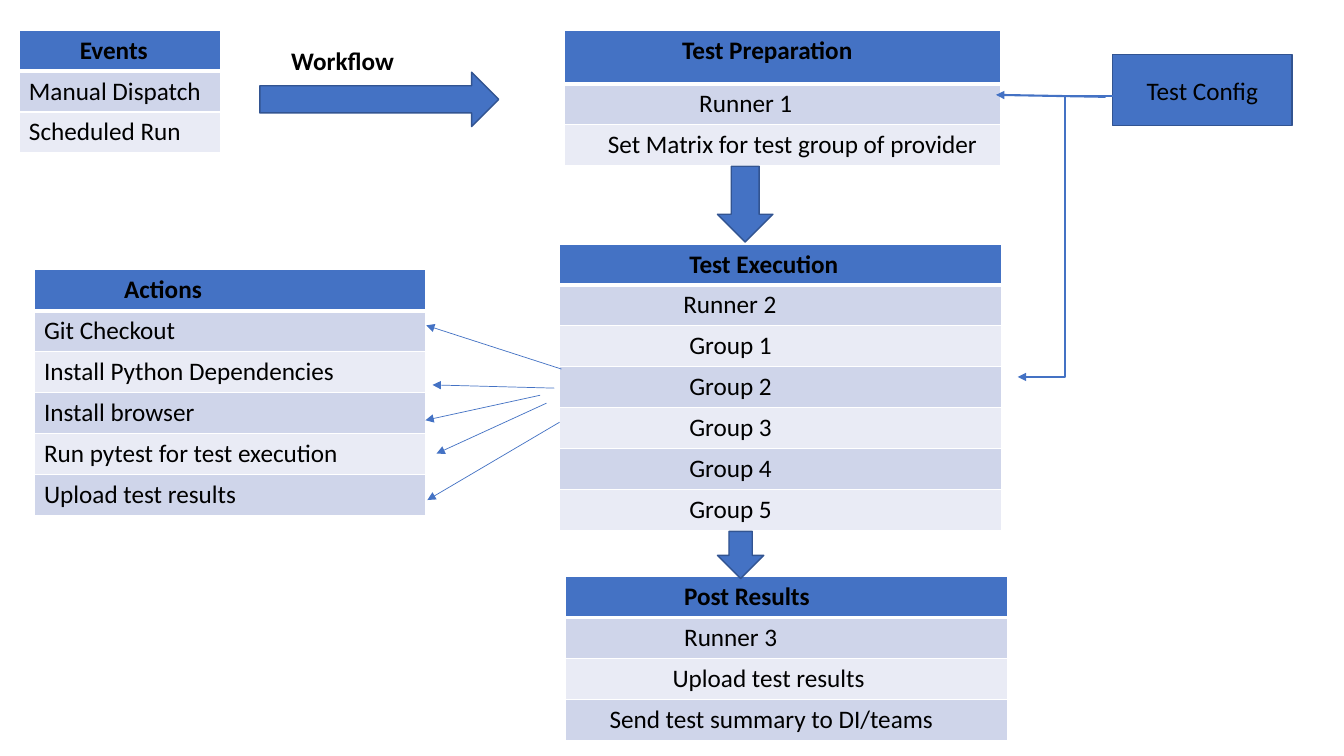
"""Build a slide showing a test workflow from its events to its posted results."""
from lxml.etree import SubElement
from pptx import Presentation
from pptx.dml.color import RGBColor
from pptx.enum.shapes import MSO_CONNECTOR as LINK, MSO_SHAPE as SHAPE
from pptx.enum.text import MSO_ANCHOR, PP_ALIGN
from pptx.oxml.ns import qn
from pptx.util import Cm, Pt

BLUE = RGBColor(0x44, 0x72, 0xC4)
OUTLINE = RGBColor(0x32, 0x54, 0x91)
BAND_DARK = RGBColor(0xCF, 0xD5, 0xEA)
BAND_LIGHT = RGBColor(0xE9, 0xEB, 0xF5)
BLACK = RGBColor(0, 0, 0)
WHITE = RGBColor(0xFF, 0xFF, 0xFF)
ROW_HEIGHT = 1.03
INSET = 0.25

EVENTS = [("Events", 1.53), ("Manual Dispatch", INSET), ("Scheduled Run", INSET)]
PREPARATION = [
    ("Test Preparation", 2.97),
    ("Runner 1", 3.4),
    ("Set Matrix for test group of provider", 1.1),
]
EXECUTION = [("Test Execution", 3.27), ("Runner 2", 3.12)]
EXECUTION += [(f"Group {number}", 3.27) for number in range(1, 6)]
RESULTS = [
    ("Post Results", 2.99),
    ("Runner 3", 2.99),
    ("Upload test results", 2.7),
    ("Send test summary to DI/teams", 1.11),
]
ACTIONS = [("Actions", 2.27)] + [(step, INSET) for step in (
    "Git Checkout",
    "Install Python Dependencies",
    "Install browser",
    "Run pytest for test execution",
    "Upload test results",
)]
ACTION_LINKS = [
    ((14.15, 9.3), (10.74, 8.2)),
    ((14.1, 10.64), (10.77, 12.6)),
    ((13.97, 9.78), (10.9, 9.7)),
    ((13.77, 10.16), (11, 11.43)),
    ((13.61, 9.96), (10.72, 10.59)),
]


def write(frame, text, bold=False):
    frame.text = text
    font = frame.paragraphs[0].runs[0].font
    font.name, font.size, font.bold = "Calibri", Pt(18), bold
    font.color.rgb = BLACK


def add_border(cell, side, weight):
    border = SubElement(cell._tc.get_or_add_tcPr(), qn(f"a:{side}"), w=str(Pt(weight)))
    fill = SubElement(border, qn("a:solidFill"))
    SubElement(fill, qn("a:srgbClr"), val=str(WHITE))


def add_stage(slide, left, top, width, rows, header_height=ROW_HEIGHT):
    height = header_height + ROW_HEIGHT * (len(rows) - 1)
    frame = slide.shapes.add_table(len(rows), 1, Cm(left), Cm(top), Cm(width), Cm(height))
    table = frame.table
    for index, (text, indent) in enumerate(rows):
        is_header = index == 0
        table.rows[index].height = Cm(header_height if is_header else ROW_HEIGHT)
        cell = table.cell(index, 0)
        cell.margin_left = Cm(indent)
        for side in ("lnL", "lnR"):
            add_border(cell, side, 1)
        add_border(cell, "lnT", 3 if index == 1 else 1)
        add_border(cell, "lnB", 3 if is_header else 1)
        cell.fill.solid()
        band = BAND_DARK if index % 2 else BAND_LIGHT
        cell.fill.fore_color.rgb = BLUE if is_header else band
        write(cell.text_frame, text, bold=is_header)


def add_block(slide, kind, left, top, width, height):
    block = slide.shapes.add_shape(kind, Cm(left), Cm(top), Cm(width), Cm(height))
    block.shadow.inherit = False
    block.fill.solid()
    block.fill.fore_color.rgb = BLUE
    block.line.color.rgb = OUTLINE
    block.line.width = Pt(1)
    return block


def add_arrow(slide, start, end, weight, kind=LINK.STRAIGHT):
    points = [Cm(value) for value in (*start, *end)]
    arrow = slide.shapes.add_connector(kind, *points)
    arrow.line.color.rgb = BLUE
    arrow.line.width = Pt(weight)
    SubElement(arrow.line._get_or_add_ln(), qn("a:tailEnd"), type="triangle")
    SubElement(arrow._element.spPr, qn("a:effectLst"))


def add_label(slide, text, left, top, width, height):
    box = slide.shapes.add_textbox(Cm(left), Cm(top), Cm(width), Cm(height))
    box.text_frame.word_wrap = True
    write(box.text_frame, text, bold=True)


def add_config(slide):
    box = add_block(slide, SHAPE.RECTANGLE, 28.04, 1.37, 4.52, 1.8)
    write(box.text_frame, "Test Config")
    box.text_frame.vertical_anchor = MSO_ANCHOR.MIDDLE
    box.text_frame.paragraphs[0].alignment = PP_ALIGN.CENTER


def main():
    deck = Presentation()
    deck.slide_width, deck.slide_height = Cm(33.87), Cm(19.05)
    slide = deck.slides.add_slide(deck.slide_layouts[6])

    add_stage(slide, 0.48, 0.76, 5.08, EVENTS)
    add_block(slide, SHAPE.RIGHT_ARROW, 6.55, 1.82, 6.02, 1.37)
    add_config(slide)
    add_stage(slide, 14.22, 0.76, 11, PREPARATION, header_height=1.35)
    add_stage(slide, 14.1, 6.15, 11.15, EXECUTION)
    add_stage(slide, 14.25, 14.53, 11.15, RESULTS)
    add_arrow(slide, (28.04, 2.41), (25.65, 9.5), 1.5, LINK.ELBOW)
    add_label(slide, "Workflow", 7.09, 1.02, 4.88, 1.02)
    add_arrow(slide, (27.86, 2.44), (25.1, 2.39), 1.5)
    add_block(slide, SHAPE.DOWN_ARROW, 18.08, 4.19, 1.4, 1.91)
    add_block(slide, SHAPE.DOWN_ARROW, 18.08, 13.39, 1.17, 1.19)
    add_stage(slide, 0.86, 6.8, 9.86, ACTIONS)
    for start, end in ACTION_LINKS:
        add_arrow(slide, start, end, 0.5)

    deck.save("out.pptx")


if __name__ == "__main__":
    main()
